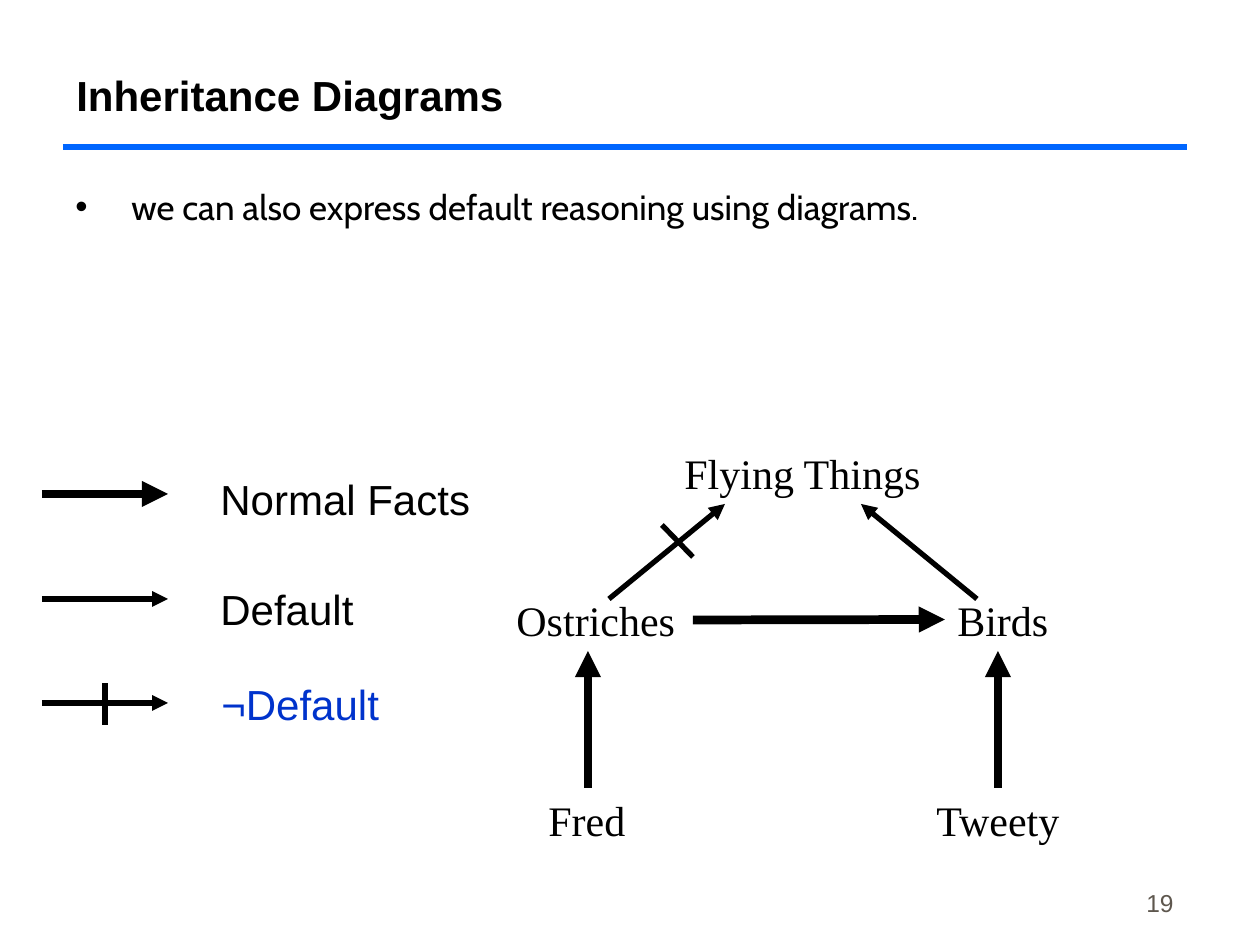
import pptx
import pptx.dml.color
import pptx.enum.shapes
import pptx.enum.text
import pptx.oxml
import pptx.oxml.ns
import pptx.util

PX = 914400 // 126
BLACK, BLUE, NAVY, GREY = "000000", "0066FF", "0033CC", "5E574E"
THICK, THIN = 5, 3
TOP, LEFT = 0, 1

TITLE = "Inheritance Diagrams"
BULLET = " we can also express default reasoning using diagrams."
PAGE = "19"

# name: left, top, width
NODES = {
    "Flying Things": (672, 441, 262),
    "Ostriches": (504, 588, 184),
    "Birds": (945, 588, 116),
    "Fred": (536, 788, 104),
    "Tweety": (924, 788, 148),
}
# label, colour, left, top, width, arrow y, arrow weight
LEGEND = [
    ("Normal Facts", BLACK, 208, 467, 275, 494, THICK),
    ("Default", BLACK, 208, 577, 158, 599, THIN),
    ("¬Default", NAVY, 209, 672, 185, 703, THIN),
]
# start, end, weight, node and side at the start, node and side at the end
ARROWS = [
    ((588, 788), (588, 651), THICK, ("Fred", TOP), None),
    ((998, 788), (998, 651), THICK, ("Tweety", TOP), None),
    ((693, 620), (945, 620), THICK, None, ("Birds", LEFT)),
    ((609, 599), (725, 504), THIN, None, None),
    ((977, 599), (861, 504), THIN, None, None),
]
NEGATION_BARS = [((105, 725), (105, 683)), ((693, 557), (662, 525))]


def px(n):
    return pptx.util.Emu(n * PX)


def rgb(value):
    return pptx.dml.color.RGBColor.from_string(value)


def add_xml(parent, tag, **attrs):
    el = pptx.oxml.parse_xml(f"<a:{tag} {pptx.oxml.ns.nsdecls('a')}/>")
    for name, value in attrs.items():
        el.set(name, value)
    parent.append(el)


def add_text(slide, text, box, size=24, font="Arial", color=BLACK, wrap=False):
    sp = slide.shapes.add_textbox(*map(px, box))
    tf = sp.text_frame
    tf.text = text
    tf.word_wrap = wrap
    f = tf.paragraphs[0].runs[0].font
    f.size, f.name = pptx.util.Pt(size), font
    f.color.rgb = rgb(color)
    return sp


def add_line(slide, start, end, weight, color=BLACK, arrow=False):
    line = slide.shapes.add_connector(
        pptx.enum.shapes.MSO_CONNECTOR.STRAIGHT, *map(px, start + end))
    line.line.width = pptx.util.Pt(weight)
    line.line.color.rgb = rgb(color)
    if arrow:
        add_xml(line.line._get_or_add_ln(), "tailEnd", type="triangle")
    add_xml(line._element.spPr, "effectLst")
    return line


def add_frame(slide):
    """Title with its rule, the bullet and the page number."""
    add_line(slide, (63, 147), (1187, 147), THIN, BLUE)

    tf = add_text(slide, TITLE, (64, 32, 1124, 94), wrap=True).text_frame
    tf.vertical_anchor = pptx.enum.text.MSO_ANCHOR.BOTTOM
    tf.paragraphs[0].runs[0].font.bold = True

    sp = add_text(slide, BULLET, (63, 179, 1126, 183), 20, "Cabin", wrap=True)
    p = sp.text_frame.paragraphs[0]
    p.space_before = pptx.util.Pt(5)
    pPr = p._p.get_or_add_pPr()
    pPr.set("marL", str(px(48)))
    pPr.set("indent", str(px(-48)))
    add_xml(pPr, "buFont", typeface="Arial")
    add_xml(pPr, "buChar", char="•")

    tf = add_text(slide, PAGE, (924, 861, 262, 63), 14, color=GREY, wrap=True).text_frame
    tf.vertical_anchor = pptx.enum.text.MSO_ANCHOR.BOTTOM
    tf.paragraphs[0].alignment = pptx.enum.text.PP_ALIGN.RIGHT


def add_diagram(slide):
    nodes = {name: add_text(slide, name, box + (63,), font="Times New Roman")
             for name, box in NODES.items()}
    for start, end, weight, source, target in ARROWS:
        line = add_line(slide, start, end, weight, arrow=True)
        if source:
            line.begin_connect(nodes[source[0]], source[1])
        if target:
            line.end_connect(nodes[target[0]], target[1])


def add_legend(slide):
    for label, color, left, top, width, y, weight in LEGEND:
        add_line(slide, (42, y), (168, y), weight, arrow=True)
        add_text(slide, label, (left, top, width, 63), color=color)


def main():
    prs = pptx.Presentation()
    prs.slide_width, prs.slide_height = px(1260), px(945)
    slide = prs.slides.add_slide(prs.slide_layouts[6])
    add_frame(slide)
    add_diagram(slide)
    add_legend(slide)
    for start, end in NEGATION_BARS:
        add_line(slide, start, end, THIN)
    prs.save("out.pptx")


if __name__ == "__main__":
    main()
